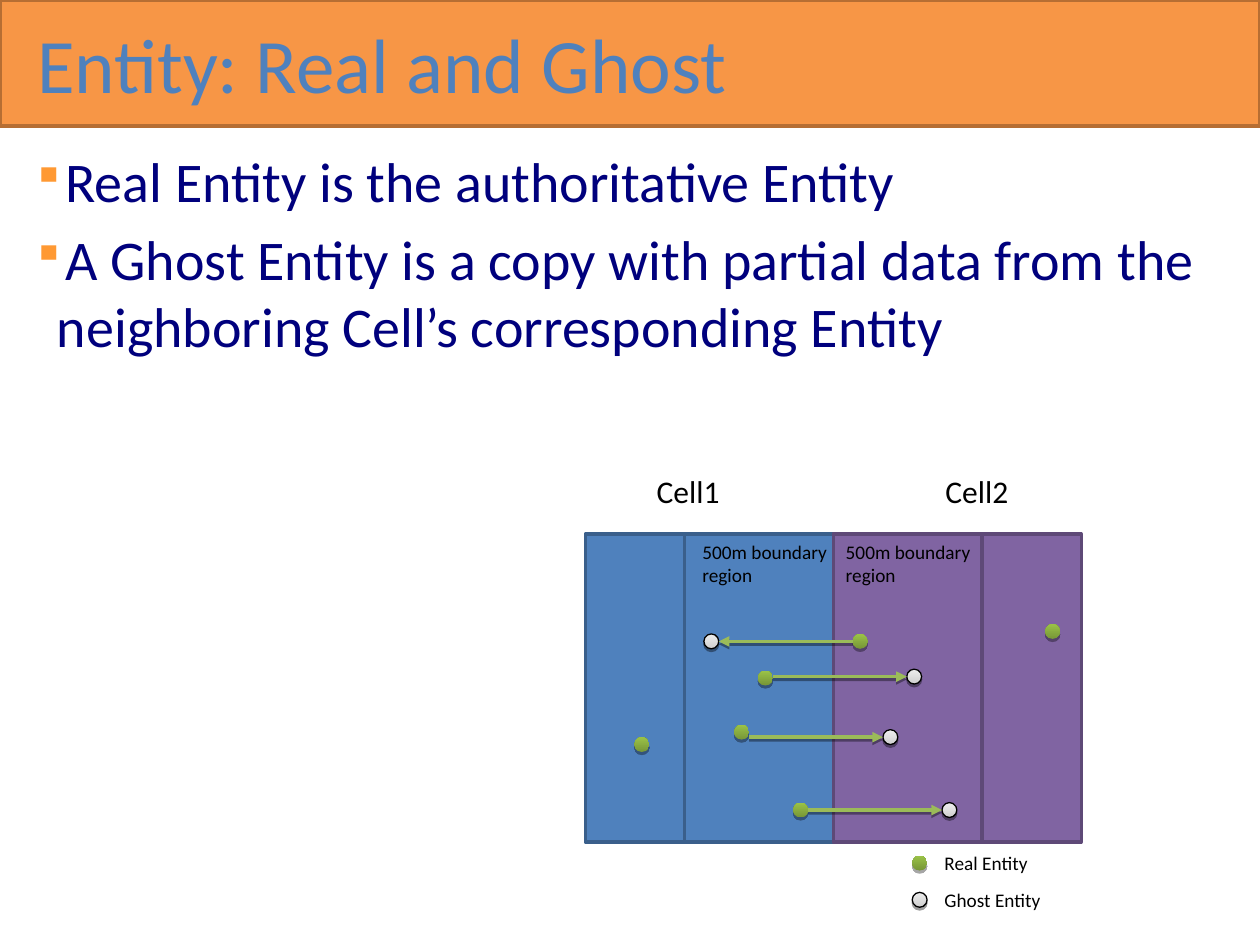
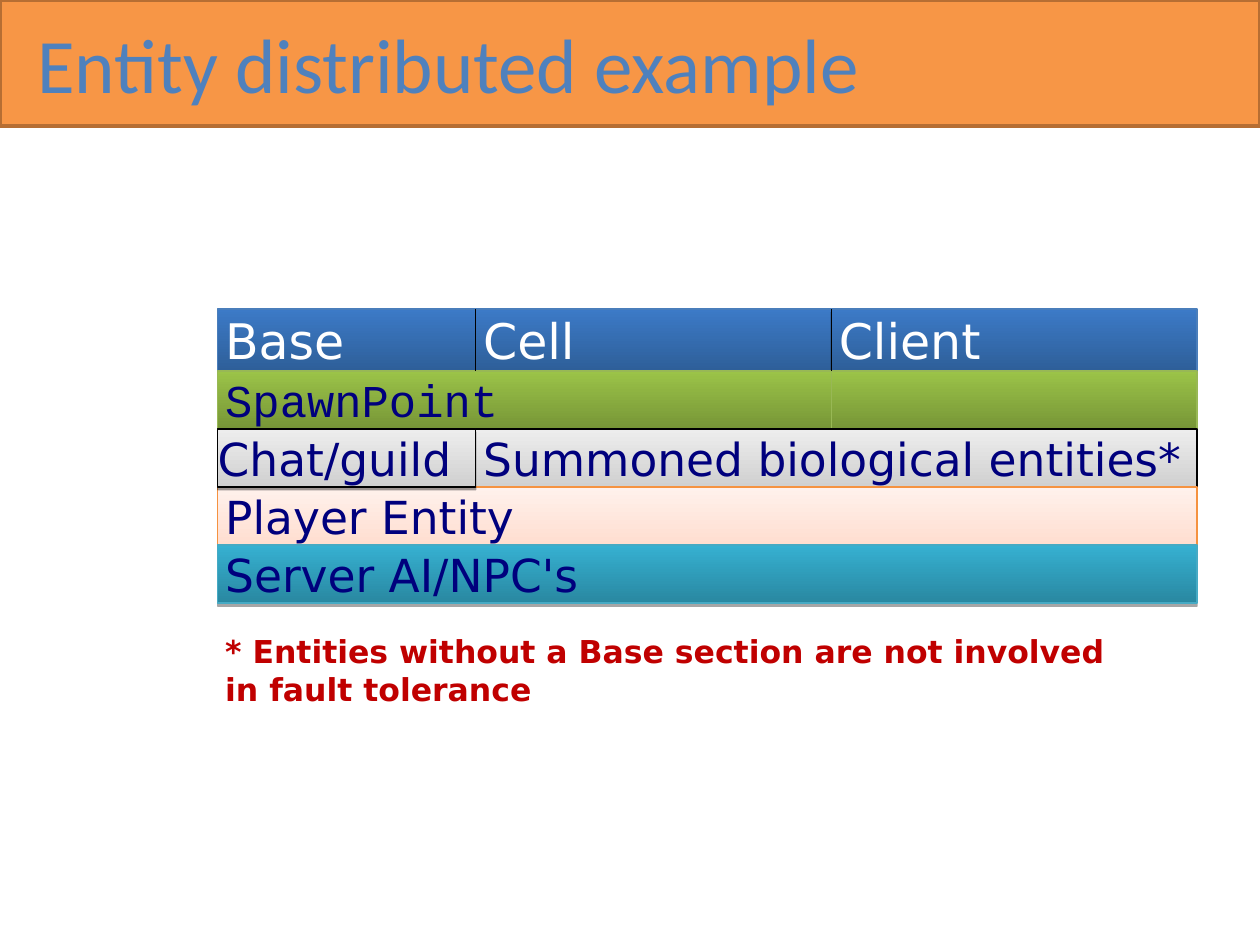
from lxml.etree import SubElement
from pptx import Presentation
from pptx.dml.color import RGBColor
from pptx.enum.shapes import MSO_CONNECTOR, MSO_SHAPE
from pptx.enum.text import MSO_ANCHOR, PP_ALIGN
from pptx.oxml.ns import qn
from pptx.util import Cm, Pt

HUES = {
    "band": "F79646", "rim": "B66E33", "title": "4F81BD", "body": "00007D",
    "mark": "FF9933", "black": "000000", "white": "FFFFFF", "note": "C00000",
    "arrow": "9BBB59", "blue": "4F81BD", "navy": "3A5F8B",
    "purple": "8064A2", "plum": "5E4977",
    "head_lo": "2E5F99", "head_hi": "3C7AC7", "head_rim": "4A7EBB",
    "green_lo": "779637", "green_hi": "9BC348", "green_rim": "98B855",
    "gray_lo": "D0D0D0", "gray_hi": "EDEDED",
    "peach_lo": "FFDED0", "peach_hi": "FFF1EC", "peach_rim": "F59240",
    "teal_lo": "2988A1", "teal_hi": "36B0D1", "teal_rim": "46AAC4",
}
DEEP, SOFT = (1.8, 35), (1.6, 38)
LOOKS = {
    "head": ("head_lo", "head_hi", "head_rim", DEEP),
    "green": ("green_lo", "green_hi", "green_rim", DEEP),
    "gray": ("gray_lo", "gray_hi", "black", SOFT),
    "peach": ("peach_lo", "peach_hi", "peach_rim", SOFT),
    "teal": ("teal_lo", "teal_hi", "teal_rim", DEEP),
    "real": ("green_lo", "green_hi", None, DEEP),
    "ghost": ("gray_lo", "gray_hi", "black", SOFT),
}
CALIBRI = {"name": "Calibri"}
DEJAVU = {"name": "DejaVu Sans"}
SMALL = {**CALIBRI, "size": Pt(11)}
DOT = 0.3


def hue(name):
    return RGBColor.from_string(HUES[name])


def apply(item, values):
    for key, value in values.items():
        setattr(item, key, value)


def add(parent, tag, **values):
    return SubElement(parent, qn(tag), {k: str(v) for k, v in values.items()})


def shade(props, look):
    gap, alpha = look
    effect = props.find(qn("a:effectLst"))
    if effect is None:
        effect = add(props, "a:effectLst")
    cast = add(effect, "a:outerShdw", blurRad=0, dist=Pt(gap),
               dir=5400000, rotWithShape=0)
    tint = add(cast, "a:srgbClr", val=HUES["black"])
    add(tint, "a:alpha", val=alpha * 1000)


def edge(item, color, width):
    if color is None:
        item.line.fill.background()
    else:
        item.line.color.rgb = hue(color)
        item.line.width = Pt(width)


def write(frame, text, font, color):
    frame.word_wrap = True
    para = frame.paragraphs[0]
    para.alignment = PP_ALIGN.LEFT
    run = para.add_run()
    run.text = text
    apply(run.font, font)
    run.font.color.rgb = hue(color)


def label(slide, box, text, font, color="black"):
    frame = slide.shapes.add_textbox(*map(Cm, box)).text_frame
    write(frame, text, font, color)
    return frame


def flat(slide, kind, box, fill, rim):
    shape = slide.shapes.add_shape(kind, *map(Cm, box))
    shape.shadow.inherit = False
    shape.fill.solid()
    shape.fill.fore_color.rgb = hue(fill)
    edge(shape, rim, 2)


def glossy(slide, kind, box, look):
    low, high, rim, cast = LOOKS[look]
    shape = slide.shapes.add_shape(kind, *map(Cm, box))
    shape.shadow.inherit = False
    shape.fill.gradient()
    shape.fill.gradient_angle = 90
    for stop, color in zip(shape.fill.gradient_stops, (low, high)):
        stop.color.rgb = hue(color)
    edge(shape, rim, 0.75)
    shade(shape.element.spPr, cast)
    return shape


def link(slide, start, end, color, width):
    line = slide.shapes.add_connector(
        MSO_CONNECTOR.STRAIGHT, *map(Cm, (*start, *end)))
    edge(line, color, width)
    add(line.element.spPr, "a:effectLst")
    return line


def header(slide, text, width):
    flat(slide, MSO_SHAPE.RECTANGLE, (0, 0, 25.4, 2.54), "band", "rim")
    frame = label(slide, (0.5, 0.36, width, 1.8), text,
                  {**CALIBRI, "size": Pt(44)}, "title")
    frame.vertical_anchor = MSO_ANCHOR.MIDDLE


def bullets(slide, box, lines):
    frame = slide.shapes.add_textbox(*map(Cm, box)).text_frame
    apply(frame, {"word_wrap": True, "margin_left": Cm(0.15),
                  "margin_top": Cm(0.03), "margin_right": Cm(0.1)})
    for i, text in enumerate(lines):
        para = frame.add_paragraph() if i else frame.paragraphs[0]
        para.space_before = Pt(6.4)
        run = para.add_run()
        run.text = text
        apply(run.font, {**CALIBRI, "size": Pt(32)})
        run.font.color.rgb = hue("body")
        props = para._p.get_or_add_pPr()
        props.set("marL", str(Cm(0.5)))
        props.set("indent", str(-Cm(0.5)))
        add(add(props, "a:buClr"), "a:srgbClr", val=HUES["mark"])
        add(props, "a:buSzPct", val=80000)
        add(props, "a:buChar", char="▪")


def dot(slide, x, y, look):
    glossy(slide, MSO_SHAPE.FLOWCHART_CONNECTOR,
           (x - DOT / 2, y - DOT / 2, DOT, DOT), look)


def cells(slide, left, top):
    wide, strip, tall = 5, 3, 6.2
    for i, (fill, rim) in enumerate((("blue", "navy"), ("purple", "plum"))):
        x = left + i * wide
        inner = x + (wide - strip) * (1 - i)
        for start, width in ((x, wide), (inner, strip)):
            flat(slide, MSO_SHAPE.FLOWCHART_PROCESS,
                 (start, top, width, tall), fill, rim)
    for text, x in (("Cell1", 1.19), ("Cell2", 7.01)):
        label(slide, (left + x, top - 1.37, 1.8, 1.78), text,
              {**CALIBRI, "size": Pt(18)})
    for x in (2.11, wide):
        label(slide, (left + x, top, 3.02, 1.63), "500m boundary region", SMALL)
    for x, y in ((1.14, 4.24), (9.42, 1.96)):
        dot(slide, left + x, top + y, "real")
    pairs = ((5.54, 2.16, 2.16, -1), (3.63, 2.9, 2.87, 1),
             (3.15, 3.99, 4.09, 1), (4.34, 5.56, 5.56, 1))
    for x, y, end, way in pairs:
        x, y, end = left + x, top + y, top + end
        twin = x + way * strip
        dot(slide, x, y, "real")
        dot(slide, twin, end, "ghost")
        trim = way * DOT / 2
        line = link(slide, (x + trim, end), (twin - trim, end), "arrow", 2)
        add(line.line._get_or_add_ln(), "a:tailEnd", type="triangle")
        props = line.element.spPr
        shade(props, SOFT)


def legend(slide, left, top):
    for i, (text, look) in enumerate((("Real Entity", "real"),
                                      ("Ghost Entity", "ghost"))):
        y = top + i * 0.74
        dot(slide, left, y + 0.36, look)
        label(slide, (left + 0.25, y, 3.3, 0.71), text, SMALL)


def grid(slide, left, top):
    cols = (0, 5.2, 12.37, 19.74)
    head, row = 1.25, 1.17
    big = {**DEJAVU, "size": Pt(28)}
    mid = {**DEJAVU, "size": Pt(26)}
    mono = {**mid, "name": "Courier New"}
    parts = (
        (0, 0, 1, "Base", "head", big),
        (0, 1, 2, "Cell", "head", big),
        (0, 2, 3, "Client", "head", big),
        (1, 2, 3, "", "green", mid),
        (1, 0, 2, "SpawnPoint", "green", mono),
        (2, 1, 3, "Summoned biological entities*", "gray", mid),
        (3, 0, 3, "Player Entity", "peach", mid),
        (4, 0, 3, "Server AI/NPC's", "teal", mid),
        (2, 0, 1, "Chat/guild", "gray", mid),
    )
    for level, start, end, text, look, font in parts:
        y = top + (head + (level - 1) * row if level else 0)
        box = (left + cols[start], y, cols[end] - cols[start],
               row if level else head)
        shape = glossy(slide, MSO_SHAPE.RECTANGLE, box, look)
        if text:
            inset = 0 if text == "Chat/guild" else 0.15
            frame = shape.text_frame
            apply(frame, {"margin_left": Cm(inset), "margin_right": 0,
                          "margin_top": Cm(0.03), "margin_bottom": Cm(0.03),
                          "vertical_anchor": MSO_ANCHOR.TOP})
            write(frame, text, font, "body" if level else "white")
    for x in cols[1:3]:
        link(slide, (left + x, top + head), (left + x, top), "black", 0.75)


def ghosts(deck):
    slide = deck.slides.add_slide(deck.slide_layouts[6])
    header(slide, "Entity: Real and Ghost", 19.58)
    bullets(slide, (0.5, 2.92, 24.28, 15.11), (
        "Real Entity is the authoritative Entity",
        "A Ghost Entity is a copy with partial data from the "
        "neighboring Cell’s corresponding Entity"))
    cells(slide, 11.8, 10.77)
    legend(slide, 18.54, 17.04)


def spread(deck):
    slide = deck.slides.add_slide(deck.slide_layouts[6])
    header(slide, "Entity distributed example", 24.59)
    grid(slide, 4.39, 6.23)
    label(slide, (4.29, 12.62, 18.29, 1.78),
          "* Entities without a Base section are not involved "
          "in fault tolerance",
          {**DEJAVU, "size": Pt(18), "bold": True}, "note")


def main():
    deck = Presentation()
    apply(deck, {"slide_width": Cm(25.4), "slide_height": Cm(19.05)})
    ghosts(deck)
    spread(deck)
    deck.save("out.pptx")


if __name__ == "__main__":
    main()
